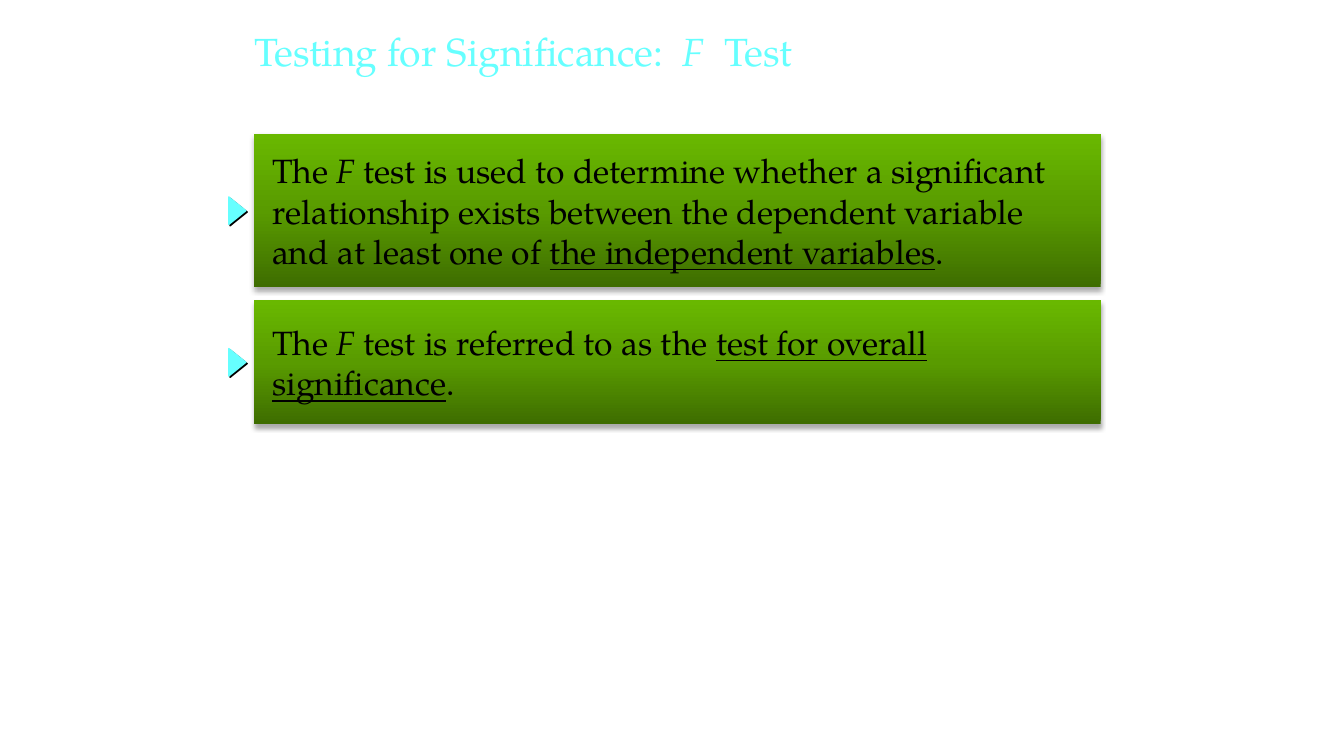
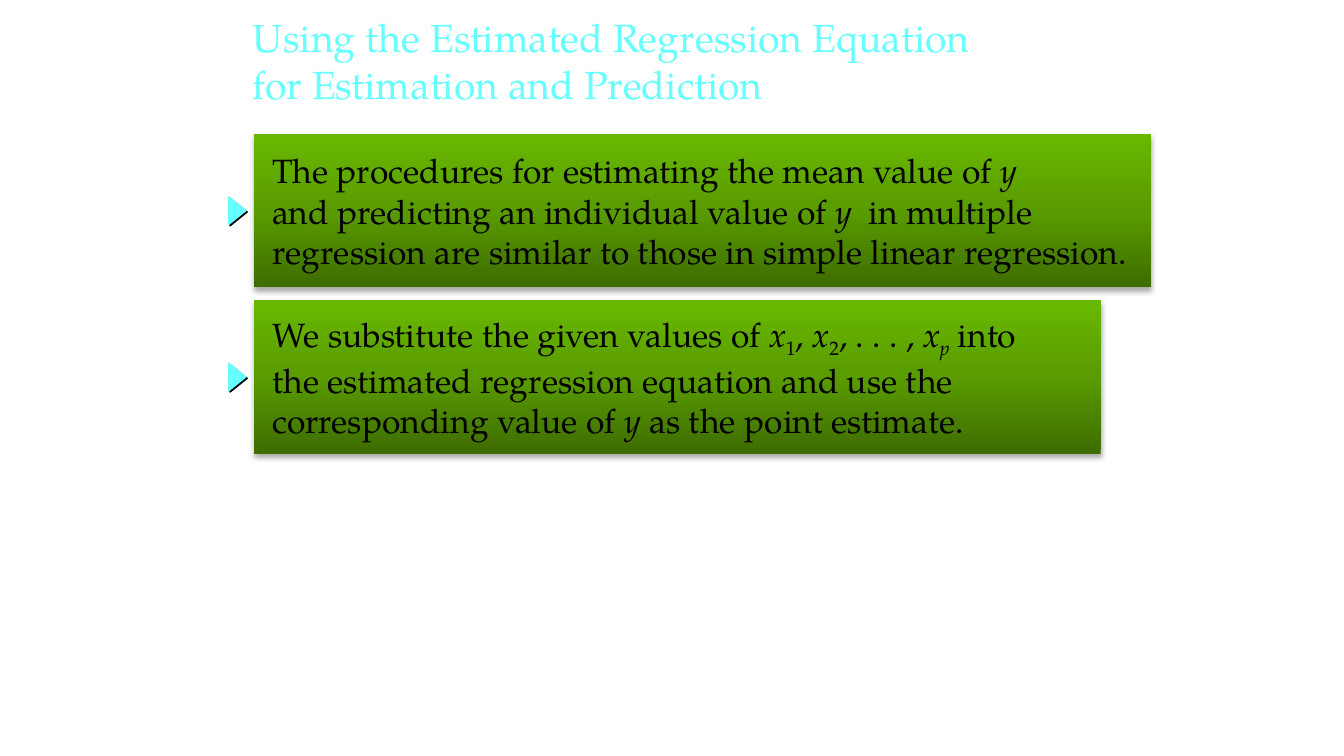
"""Two slides on the F test and on prediction in multiple regression."""
import pptx
import pptx.dml.color
import pptx.enum.shapes
import pptx.enum.text
import pptx.oxml
import pptx.oxml.ns
import pptx.util

Cm = pptx.util.Cm
Pt = pptx.util.Pt
RGBColor = pptx.dml.color.RGBColor
SHAPE = pptx.enum.shapes.MSO_SHAPE
ALIGN = pptx.enum.text.PP_ALIGN
ANCHOR = pptx.enum.text.MSO_ANCHOR

CYAN = RGBColor(0x66, 0xFF, 0xFF)
BLACK = RGBColor(0x00, 0x00, 0x00)
PANEL_GRADIENT = (
    (0, RGBColor(0x3E, 0x6D, 0x00)),
    (50, RGBColor(0x59, 0x9B, 0x00)),
    (100, RGBColor(0x69, 0xB8, 0x00)),
)
FONT = "TeX Gyre Pagella"
TITLE_SIZE, BODY_SIZE = Pt(28), Pt(24)

TITLE_WIDTH = Cm(21.59)
PANEL_LEFT, PANEL_TOP, PANEL_GAP = Cm(6.4), Cm(3.38), Cm(0.33)
NORMAL_WIDTH, WIDE_WIDTH = Cm(21.34), Cm(22.61)
TALL, SHORT = Cm(3.86), Cm(3.12)
TEXT_INDENT = Cm(0.46)
MARKER_BASE, MARKER_DEPTH, MARKER_CENTRE = Cm(0.69), Cm(0.43), Cm(5.98)

F_TITLE = [[("Testing for Significance:  ", ""), ("F ", "i"), (" Test", "")]]
F_PANELS = [
    (NORMAL_WIDTH, TALL, [
        [("The ", ""), ("F", "i"), (" test is used to determine whether a significant", "")],
        [("relationship exists between the dependent variable", "")],
        [("and at least one of ", ""), ("the independent variables", "u"), (".", "")],
    ]),
    (NORMAL_WIDTH, SHORT, [
        [("The ", ""), ("F", "i"), (" test is referred to as the ", ""), ("test for overall", "u")],
        [("significance", "u"), (".", "")],
    ]),
]

PREDICTION_TITLE = [[("Using the Estimated Regression Equation\vfor Estimation and Prediction", "")]]
PREDICTION_PANELS = [
    (WIDE_WIDTH, TALL, [
        [("The procedures for estimating the mean value of ", ""), ("y", "i")],
        [("and predicting an individual value of ", ""), ("y ", "i"), (" in multiple", "")],
        [("regression are similar to those in simple linear regression.", "")],
    ]),
    (NORMAL_WIDTH, TALL, [
        [("We substitute the given values of ", ""), ("x", "i"), ("1", "s"), (", ", ""),
         ("x", "i"), ("2", "s"), (", . . . , ", ""), ("x", "i"), ("p", "is"), (" into", "")],
        [("the estimated regression equation and use the", "")],
        [("corresponding value of ", ""), ("y", "i"), (" as the point estimate.", "")],
    ]),
]


def write_lines(frame, lines, size, color):
    """Write one paragraph per line; style letters are i italic, u underline, s subscript."""
    frame.word_wrap = True
    frame.auto_size = pptx.enum.text.MSO_AUTO_SIZE.NONE
    frame.vertical_anchor = ANCHOR.MIDDLE
    for index, line in enumerate(lines):
        paragraph = frame.add_paragraph() if index else frame.paragraphs[0]
        paragraph.alignment = ALIGN.LEFT
        for words, style in line:
            if len(line) == 1:
                paragraph.text = words
                runs = paragraph.runs
            else:
                runs = [paragraph.add_run()]
                runs[0].text = words
            for run in runs:
                run.font.name, run.font.size = FONT, size
                run.font.color.rgb = color
                run.font.italic = "i" in style
                run.font.underline = "u" in style
                if "s" in style:
                    run._r.get_or_add_rPr().set("baseline", "-25000")


def fill_gradient(shape, stops):
    """Fill a shape with colours that run from its bottom to its top."""
    listed = "".join(
        f'<a:gs pos="{position * 1000}"><a:srgbClr val="{color}"/></a:gs>'
        for position, color in stops
    )
    shape._element.spPr.append(pptx.oxml.parse_xml(
        f'<a:gradFill {pptx.oxml.ns.nsdecls("a")} rotWithShape="1"><a:gsLst>{listed}</a:gsLst>'
        '<a:lin ang="16200000" scaled="0"/></a:gradFill>'
    ))


def cast_shadow(shape, opacity, blur, distance, angle):
    """Give a shape a black outer shadow."""
    shape.shadow.inherit = False
    effects = shape._element.spPr.find(pptx.oxml.ns.qn("a:effectLst"))
    effects.append(pptx.oxml.parse_xml(
        f'<a:outerShdw {pptx.oxml.ns.nsdecls("a")} blurRad="{Pt(blur)}" dist="{Pt(distance)}" '
        f'dir="{angle * 60000}" algn="ctr" rotWithShape="0"><a:srgbClr val="{BLACK}">'
        f'<a:alpha val="{opacity * 1000}"/></a:srgbClr></a:outerShdw>'
    ))


def add_title(slide, lines, left, top, height):
    """Place and write the slide title."""
    title = slide.shapes.title
    title.left, title.top, title.width, title.height = left, top, TITLE_WIDTH, height
    write_lines(title.text_frame, lines, TITLE_SIZE, CYAN)


def add_marker(slide, middle):
    """Add a triangle that points right at the given height."""
    marker = slide.shapes.add_shape(
        SHAPE.ISOSCELES_TRIANGLE, MARKER_CENTRE - MARKER_BASE // 2,
        middle - MARKER_DEPTH // 2, MARKER_BASE, MARKER_DEPTH)
    marker.rotation = 90
    marker.fill.solid()
    marker.fill.fore_color.rgb = CYAN
    marker.line.color.rgb = CYAN
    marker.line.width = Pt(1)
    cast_shadow(marker, 100, 0, 1.4, 45)


def add_panel(slide, top, width, height, lines):
    """Add a green panel of text."""
    panel = slide.shapes.add_shape(SHAPE.RECTANGLE, PANEL_LEFT, top, width, height)
    fill_gradient(panel, PANEL_GRADIENT)
    panel.line.fill.background()
    cast_shadow(panel, 32, 3.5, 2.2, 90)
    panel.text_frame.margin_left = TEXT_INDENT
    panel.text_frame.margin_right = 0
    write_lines(panel.text_frame, lines, BODY_SIZE, BLACK)


def add_panels(slide, panels):
    """Stack panels downwards, each with its marker."""
    top = PANEL_TOP
    for width, height, lines in panels:
        add_marker(slide, top + height // 2)
        add_panel(slide, top, width, height, lines)
        top += height + PANEL_GAP


def main():
    """Build and save the slides."""
    deck = pptx.Presentation()
    deck.slide_width, deck.slide_height = Cm(33.87), Cm(19.05)
    title_only = deck.slide_layouts[5]

    f_test = deck.slides.add_slide(title_only)
    add_title(f_test, F_TITLE, Cm(6.15), Cm(0.15), Cm(2.26))
    add_panels(f_test, F_PANELS)

    prediction = deck.slides.add_slide(title_only)
    add_title(prediction, PREDICTION_TITLE, Cm(6.12), Cm(0.33), Cm(2.39))
    add_panels(prediction, PREDICTION_PANELS)

    deck.save("out.pptx")


if __name__ == "__main__":
    main()
